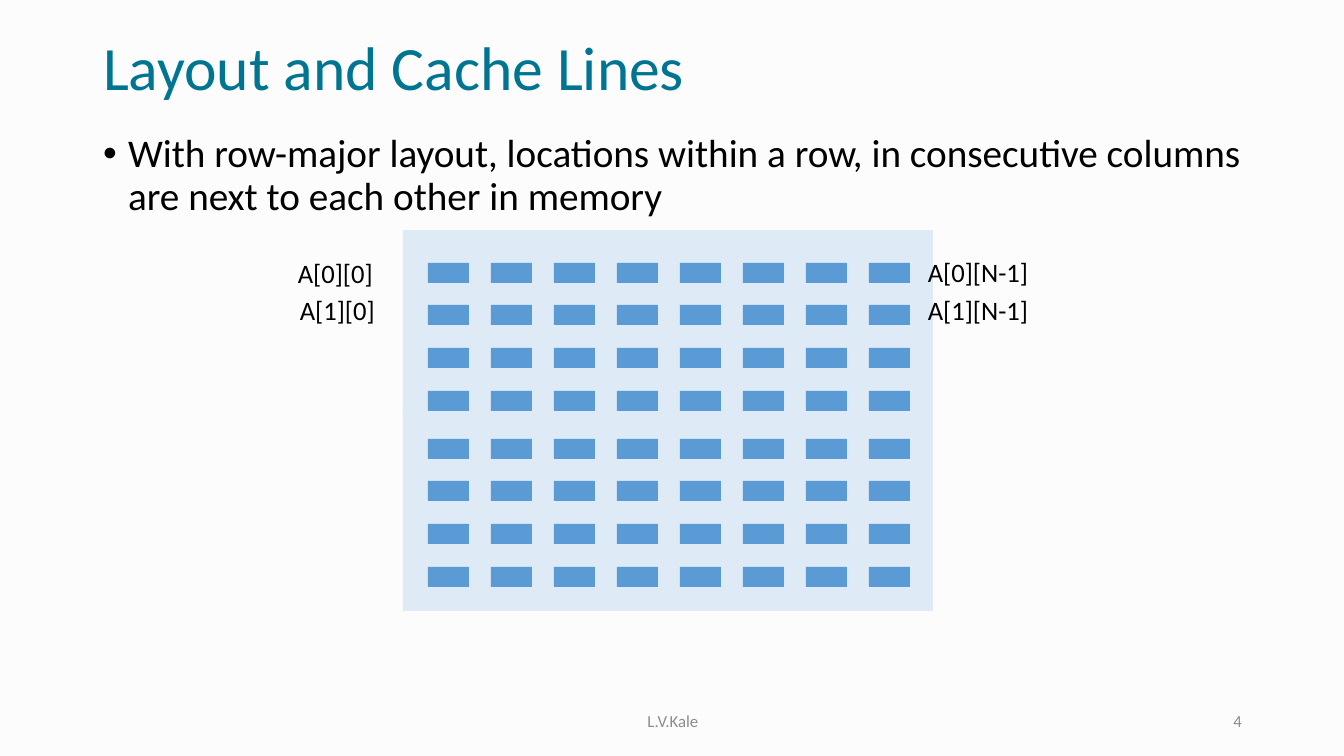
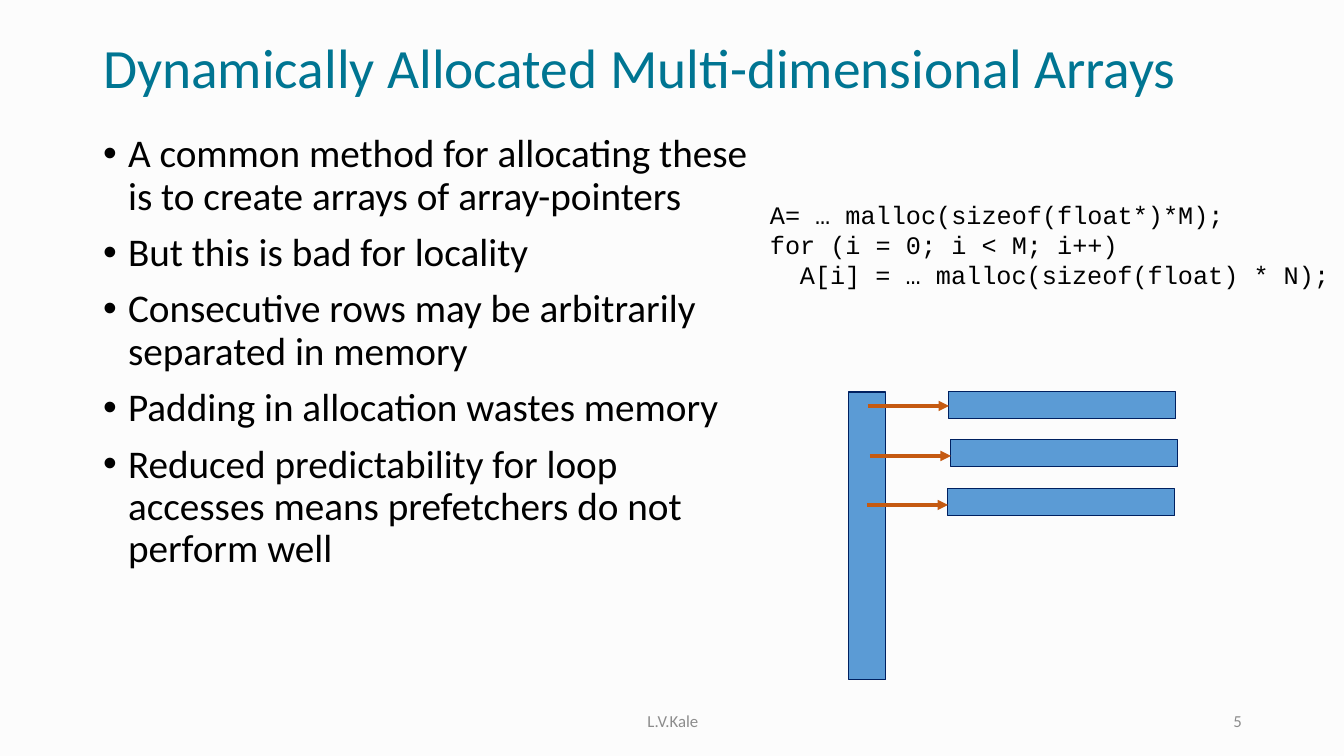
from lxml import etree
from pptx import Presentation
from pptx import util as u
from pptx.dml.color import RGBColor
from pptx.enum import shapes, text
from pptx.oxml import ns

PAPER = RGBColor(0xFC, 0xFC, 0xFC)
TEAL = RGBColor(0x00, 0x75, 0x92)
BLACK = RGBColor(0x00, 0x00, 0x00)
GREY = RGBColor(0x8C, 0x8C, 0x8C)
BLUE = RGBColor(0x5B, 0x9B, 0xD5)
PALE = RGBColor(0xDE, 0xEB, 0xF7)
NAVY = RGBColor(0x00, 0x20, 0x60)
ORANGE = RGBColor(0xC5, 0x5A, 0x11)
SANS, MONO = "Calibri", "Courier New"
LEFT, CENTER, RIGHT = text.PP_ALIGN.LEFT, text.PP_ALIGN.CENTER, text.PP_ALIGN.RIGHT
TOP, MIDDLE = text.MSO_ANCHOR.TOP, text.MSO_ANCHOR.MIDDLE
TITLE_BOX = (93, 28, 1159, 85)
FOOTER_BOX = (446, 701, 454, 40)
NUMBER_BOX = (950, 701, 302, 40)


def px(n):
    """Turn picture pixels into EMU."""
    return u.Emu(round(n * 914400 / 100.8))


def indent(p, left, first=0):
    """Set a paragraph's left margin and first-line offset."""
    pPr = p._p.get_or_add_pPr()
    pPr.set("marL", str(px(left)))
    pPr.set("indent", str(px(first)))


def write(sp, lines, size, color=BLACK, font=SANS, align=LEFT, anchor=TOP):
    """Fill a shape with formatted paragraphs and return them."""
    tf = sp.text_frame
    tf.text = "\n".join(lines)
    tf.word_wrap = True
    tf.auto_size = text.MSO_AUTO_SIZE.NONE
    tf.vertical_anchor = anchor
    for p in tf.paragraphs:
        p.alignment = align
        for r in p.runs:
            r.font.size, r.font.name = u.Pt(size), font
            r.font.color.rgb = color
    return tf.paragraphs


def place(sp, box):
    """Move a placeholder to a pixel box."""
    sp.left, sp.top, sp.width, sp.height = map(px, box)


def add_text(s, box, lines, size, **style):
    """Add a text box and return it."""
    sp = s.shapes.add_textbox(*map(px, box))
    write(sp, lines, size, **style)
    return sp


def add_rect(s, box, fill, line=None):
    """Add a flat rectangle, outlined only if a line colour is given."""
    sp = s.shapes.add_shape(shapes.MSO_SHAPE.RECTANGLE, *map(px, box))
    sp.shadow.inherit = False
    sp.fill.solid()
    sp.fill.fore_color.rgb = fill
    if line is None:
        sp.line.fill.background()
    else:
        sp.line.color.rgb = line
        sp.line.width = u.Pt(0.75)


def add_arrow(s, x, y, length):
    """Add a horizontal arrow pointing right."""
    c = s.shapes.add_connector(shapes.MSO_CONNECTOR.STRAIGHT,
                               px(x), px(y), px(x + length), px(y))
    c.line.color.rgb = ORANGE
    c.line.width = u.Pt(2.5)
    spPr = c.element.spPr
    etree.SubElement(spPr.find(ns.qn("a:ln")), ns.qn("a:tailEnd"), type="triangle")
    etree.SubElement(spPr, ns.qn("a:effectLst"))


def add_slide(prs, number, title, bullets, body_box, title_size=44):
    """Add a slide with title, bullet list, footer and number."""
    s = prs.slides.add_slide(prs.slide_layouts[1])
    head, body = s.placeholders
    place(head, TITLE_BOX)
    for p in write(head, [title], title_size, TEAL, anchor=MIDDLE):
        p.line_spacing = 0.9
    place(body, body_box)
    for p in write(body, bullets, 28):
        p.line_spacing = 0.9
        p.space_before = u.Pt(10)
        indent(p, 25, -25)
    add_text(s, FOOTER_BOX, ["L.V.Kale"], 12, color=GREY, align=CENTER, anchor=MIDDLE)
    add_text(s, NUMBER_BOX, [str(number)], 12, color=GREY, align=RIGHT, anchor=MIDDLE)
    return s


def memory_panel(s, box, first_row, rows=4, cols=8):
    """Draw a panel holding a grid of memory cells."""
    x, y, w, h = box
    add_rect(s, box, PALE)
    for row in range(rows):
        for col in range(cols):
            cell = (x + 25 + 63 * col, y + first_row + 128 * row // (rows - 1), 41, 20)
            add_rect(s, cell, BLUE)


def row_labels(s, x, y):
    """Name the first and last cells of the top two rows."""
    for label, dx, dy, width in (("A[0][0]", 0, 1, 115), ("A[1][0]", 2, 38, 115),
                                 ("A[0][N-1]", 630, 0, 139), ("A[1][N-1]", 630, 38, 139)):
        add_text(s, (x + dx, y + dy, width, 42), [label], 19)


def code_block(s, box):
    """Show the allocation code with an indented loop body."""
    sp = add_text(s, box, ["A= … malloc(sizeof(float*)*M);",
                           "for (i = 0; i < M; i++)",
                           "A[i] = … malloc(sizeof(float) * N);"], 18, font=MONO)
    sp.fill.solid()
    sp.fill.fore_color.rgb = PAPER
    indent(sp.text_frame.paragraphs[-1], 30)


def pointer_diagram(s, x, y):
    """Draw the pointer column with arrows to separate rows."""
    add_rect(s, (x, y, 37, 288), BLUE, NAVY)
    for dx, dy, arrow_dy in ((100, 0, 14), (102, 48, 64), (99, 97, 113)):
        add_rect(s, (x + dx, y + dy, 227, 27), BLUE, NAVY)
        add_arrow(s, x + dx - 81, y + arrow_dy, 81)


def layout_slide(prs):
    """Build the slide on row-major layout."""
    s = add_slide(prs, 4, "Layout and Cache Lines",
                  ["With row-major layout, locations within a row, in consecutive "
                   "columns are next to each other in memory"], (93, 129, 1159, 552))
    memory_panel(s, (403, 230, 530, 186), 33)
    memory_panel(s, (403, 412, 530, 199), 27)
    row_labels(s, 288, 251)


def allocation_slide(prs):
    """Build the slide on arrays of pointers."""
    s = add_slide(prs, 5, "Dynamically Allocated Multi-dimensional Arrays",
                  ["A common method for allocating these is to create arrays of array-pointers",
                   "But this is bad for locality",
                   "Consecutive rows may be arbitrarily separated in memory",
                   "Padding in allocation wastes memory",
                   "Reduced predictability for loop accesses means prefetchers "
                   "do not perform well"], (93, 129, 667, 552), 39.6)
    code_block(s, (760, 194, 584, 102))
    pointer_diagram(s, 849, 392)


prs = Presentation()
prs.slide_width, prs.slide_height = px(1344), px(756)
background = prs.slide_master.background.fill
background.solid()
background.fore_color.rgb = PAPER
layout_slide(prs)
allocation_slide(prs)
prs.save("out.pptx")
